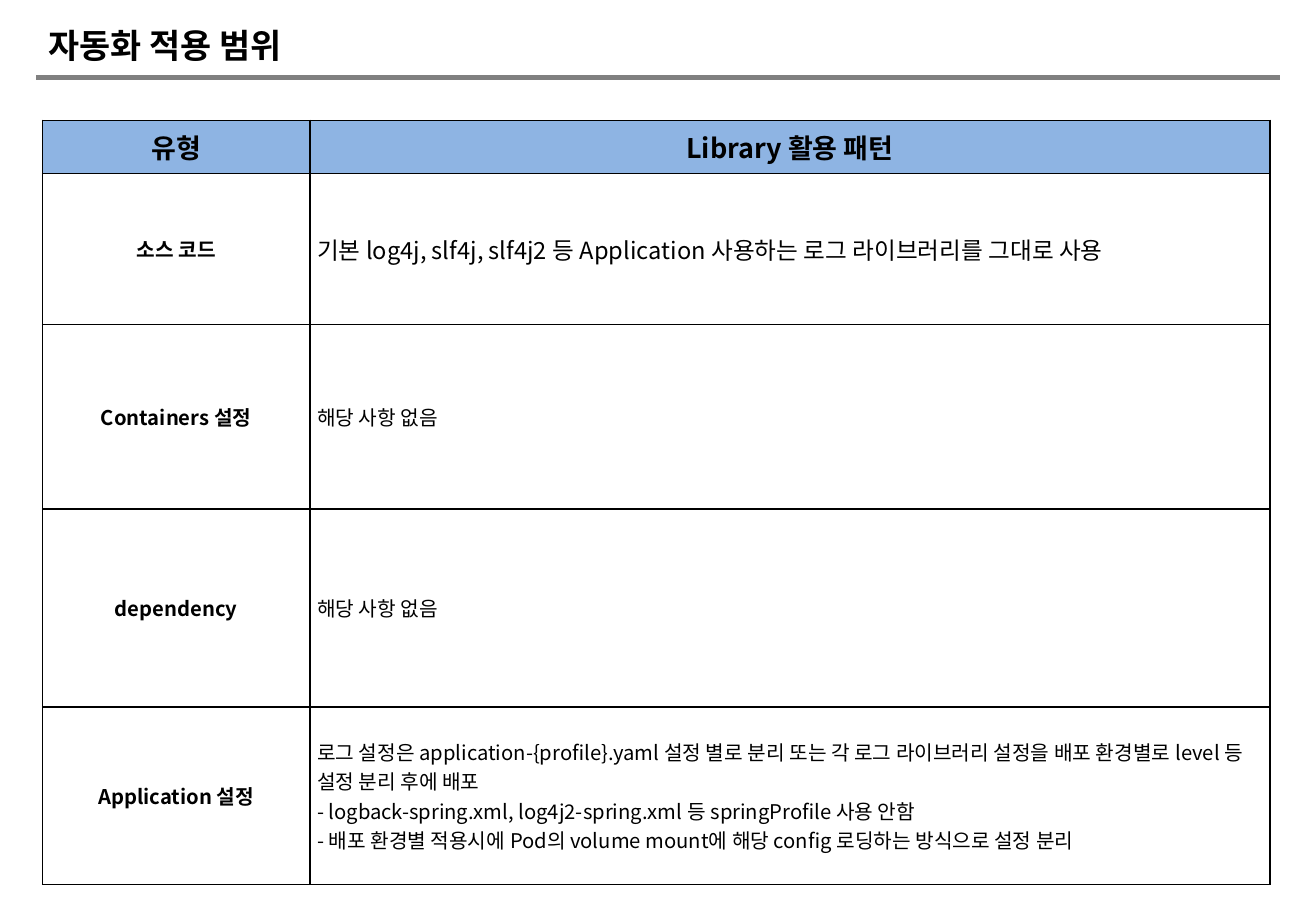
import pptx
import pptx.util
import pptx.dml.color
import pptx.enum.shapes
import pptx.enum.text
import pptx.oxml.ns
import lxml.etree

COLORS = {"ink": "000000", "rule": "808080", "head": "8EB4E3"}
ALIGN = pptx.enum.text.PP_ALIGN
MIDDLE = pptx.enum.text.MSO_ANCHOR.MIDDLE

HEADS = ["유형", "Library 활용 패턴"]
ROWS = [
    ("소스 코드", "기본 log4j, slf4j, slf4j2 등 Application 사용하는 로그 라이브러리를 그대로 사용", 14),
    ("Containers 설정", "해당 사항 없음", 12),
    ("dependency", "해당 사항 없음", 12),
    ("Application 설정",
     "로그 설정은 application-{profile}.yaml 설정 별로 분리 또는 각 로그 라이브러리 설정을 "
     "배포 환경별로 level 등 설정 분리 후에 배포"
     "\v- logback-spring.xml, log4j2-spring.xml 등 springProfile 사용 안함"
     "\n- 배포 환경별 적용시에 Pod의 volume mount에 해당 config 로딩하는 방식으로 설정 분리", 12),
]
WIDTHS = [2.2, 7.9]
HEIGHTS = [0.37, 1.24, 1.52, 1.63, 1.46]


def color(name):
    return pptx.dml.color.RGBColor.from_string(COLORS[name])


def add(parent, tag, **attrs):
    return lxml.etree.SubElement(parent, pptx.oxml.ns.qn(tag), **attrs)


class Page:
    font = "Noto Sans CJK KR"
    wide, high = 10.83, 7.5

    def __init__(self):
        self.deck = pptx.Presentation()
        self.deck.slide_width = pptx.util.Inches(self.wide)
        self.deck.slide_height = pptx.util.Inches(self.high)
        self.slide = self.deck.slides.add_slide(self.deck.slide_layouts[5])

    def across(self, share):
        return pptx.util.Inches(self.wide * share / 100)

    def down(self, share):
        return pptx.util.Inches(self.high * share / 100)

    def style(self, frame, size, bold, align, font):
        for para in frame.paragraphs:
            para.alignment = align
            for run in para.runs:
                run.font.size = pptx.util.Pt(size)
                run.font.bold = bold
                run.font.name = font
                run.font.color.rgb = color("ink")
                add(run.font._element, "a:ea", typeface=self.font)

    def title(self, text, left, top, width, height):
        shape = self.slide.shapes.title
        shape.left, shape.top = self.across(left), self.down(top)
        shape.width, shape.height = self.across(width), self.down(height)
        frame = shape.text_frame
        frame.text = text
        frame.auto_size = pptx.enum.text.MSO_AUTO_SIZE.NONE
        frame.vertical_anchor = MIDDLE
        self.style(frame, 20, True, ALIGN.LEFT, "Karla")

    def rule(self, left, right, top):
        line = self.slide.shapes.add_connector(
            pptx.enum.shapes.MSO_CONNECTOR.STRAIGHT,
            self.across(left), self.down(top), self.across(right), self.down(top))
        line.line.color.rgb = color("rule")
        line.line.width = pptx.util.Pt(3)
        add(line._element.spPr, "a:effectLst")

    def table(self, left, top, widths, heights):
        inch = pptx.util.Inches
        grid = self.slide.shapes.add_table(
            len(heights), len(widths), self.across(left), self.down(top),
            inch(sum(widths)), inch(sum(heights))).table
        grid.first_row = grid.horz_banding = False
        for col, width in zip(grid.columns, widths):
            col.width = inch(width)
        for row, height in zip(grid.rows, heights):
            row.height = inch(height)
        return grid

    def cell(self, cell, text, size, bold, align, fill=None):
        cell.text_frame.text = text
        cell.vertical_anchor = MIDDLE
        cell.margin_left = cell.margin_right = pptx.util.Inches(0.06)
        cell.margin_top = cell.margin_bottom = pptx.util.Inches(0.06)
        self.style(cell.text_frame, size, bold, align, self.font)
        props = cell._tc.get_or_add_tcPr()
        for side in ("L", "R", "T", "B"):
            edge = add(props, "a:ln" + side, w=str(pptx.util.Pt(1)))
            add(add(edge, "a:solidFill"), "a:srgbClr", val=COLORS["ink"])
        if fill:
            cell.fill.solid()
            cell.fill.fore_color.rgb = color(fill)
        else:
            cell.fill.background()


def main():
    page = Page()
    page.rule(2.77, 97.23, 8.53)
    page.title("자동화 적용 범위", 2.77, 2, 94.55, 5.87)
    grid = page.table(3.23, 13.2, WIDTHS, HEIGHTS)
    for col, head in enumerate(HEADS):
        page.cell(grid.cell(0, col), head, 16, True, ALIGN.CENTER, "head")
    for row, (kind, text, size) in enumerate(ROWS, 1):
        page.cell(grid.cell(row, 0), kind, 12, True, ALIGN.CENTER)
        page.cell(grid.cell(row, 1), text, size, False, ALIGN.LEFT)
    page.deck.save("out.pptx")


if __name__ == "__main__":
    main()
